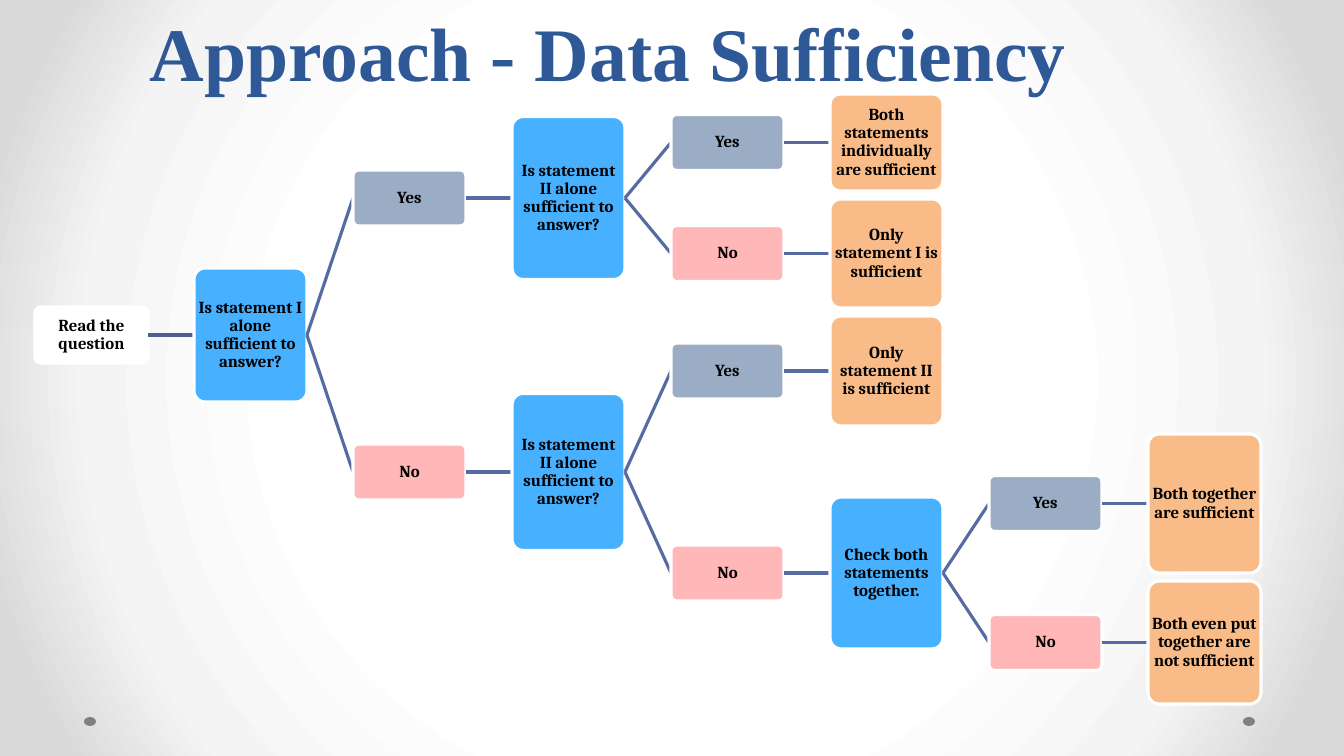
from dataclasses import dataclass, field

from lxml.etree import SubElement
from pptx import Presentation
from pptx.dml.color import RGBColor
from pptx.enum.shapes import MSO_CONNECTOR, MSO_SHAPE
from pptx.enum.text import MSO_ANCHOR, PP_ALIGN
from pptx.oxml import parse_xml
from pptx.oxml.ns import nsdecls, qn
from pptx.util import Pt

SLIDE_W, SLIDE_H = 1344, 756
SCALE = 12192000 / SLIDE_W  # EMU in one px

COLORS = {
    "title": "2F5897", "text": "000000", "outline": "FFFFFF", "dot": "808080",
    "first_link": "4D5E90", "link": "576BA3",
    "start": "FFFFFF", "question": "47B0FF", "yes": "9BADC4",
    "no": "FFB7B7", "result": "F9BB87",
}
BACKGROUND = [(50, "FFFFFF"), (76, "F4F4F4"), (92, "DADADA")]

# Flow chart measures
BOX_W, COLUMN_PITCH, RESULT_GAP = 113, 159, 8


@dataclass
class Node:
    kind: str
    text: str
    height: int
    children: list = field(default_factory=list)
    middle: float = 0


def yes(child):
    return Node("yes", "Yes", 56, [child])


def no(child):
    return Node("no", "No", 56, [child])


def result(text, height):
    return Node("result", text, height)


def question(text, height, if_yes, if_no):
    return Node("question", text, height, [yes(if_yes), no(if_no)])


SECOND = "Is statement II alone sufficient to answer?"
TREE = Node("start", "Read the question", 56, [
    question(
        "Is statement I alone sufficient to answer?", 134,
        question(SECOND, 163,
                 result("Both statements individually are sufficient", 97),
                 result("Only statement I is sufficient", 109)),
        question(SECOND, 157,
                 result("Only statement II is sufficient", 110),
                 question("Check both statements together.", 152,
                          result("Both together are sufficient", 139),
                          result("Both even put together are not sufficient", 123)))),
])


def px(n):
    return round(n * SCALE)


def rgb(name):
    return RGBColor.from_string(COLORS[name])


def add_filled(slide, preset, box, color):
    sp = slide.shapes.add_shape(preset, *map(px, box))
    sp.shadow.inherit = False
    sp.fill.solid()
    sp.fill.fore_color.rgb = rgb(color)
    sp.line.fill.background()
    return sp


def set_font(p, name, size, color):
    p.alignment = PP_ALIGN.CENTER
    p.font.name, p.font.size, p.font.bold = name, Pt(size), True
    p.font.color.rgb = rgb(color)


def add_background(slide):
    stops = "".join(f'<a:gs pos="{pos * 1000}"><a:srgbClr val="{color}"/></a:gs>'
                    for pos, color in BACKGROUND)
    bg = parse_xml(
        f'<p:bg {nsdecls("p", "a")}><p:bgPr><a:gradFill><a:gsLst>{stops}</a:gsLst>'
        '<a:path path="circle"><a:fillToRect l="50000" t="50000" r="50000" b="50000"/>'
        '</a:path></a:gradFill><a:effectLst/></p:bgPr></p:bg>')
    slide.element.find(qn("p:cSld")).insert(0, bg)


def add_footer_dots(slide, box):
    left, top, width, height = box
    for x in (left + width - 12, left):
        add_filled(slide, MSO_SHAPE.OVAL, (x, top, 12, height), "dot")


def add_title(slide, box):
    sp = slide.shapes.title
    sp.left, sp.top, sp.width, sp.height = map(px, box)
    tf = sp.text_frame
    tf.text = "Approach - Data Sufficiency"
    tf.word_wrap = True
    tf.vertical_anchor = MSO_ANCHOR.BOTTOM
    p = tf.paragraphs[0]
    p.line_spacing = Pt(58)
    set_font(p, "Times New Roman", 54, "title")


def add_node(slide, node, left):
    box = (left, node.middle - node.height / 2, BOX_W, node.height)
    sp = add_filled(slide, MSO_SHAPE.ROUNDED_RECTANGLE, box, node.kind)
    sp.adjustments[0] = 0.1
    sp.line.color.rgb = rgb("outline")
    sp.line.width = Pt(2.25)
    tf = sp.text_frame
    tf.text = node.text
    tf.word_wrap = True
    tf.vertical_anchor = MSO_ANCHOR.MIDDLE
    tf.margin_left = tf.margin_right = tf.margin_top = tf.margin_bottom = 0
    p = tf.paragraphs[0]
    p.line_spacing = 0.9
    set_font(p, "Cambria", 12, "text")


def add_link(slide, start, end, color):
    line = slide.shapes.add_connector(MSO_CONNECTOR.STRAIGHT, *map(px, start + end))
    line.line.color.rgb = rgb(color)
    line.line.width = Pt(2.25)
    SubElement(line.element.spPr, qn("a:effectLst"))


def arrange(node, top):
    """Stack the results downwards and centre each parent on its children."""
    if not node.children:
        node.middle = top + node.height / 2
        return top + node.height + RESULT_GAP
    for child in node.children:
        top = arrange(child, top)
    node.middle = sum(c.middle for c in node.children) / len(node.children)
    return top


def add_branch(slide, node, left):
    add_node(slide, node, left)
    next_left = left + COLUMN_PITCH
    for child in node.children:
        color = "first_link" if node.kind == "start" else "link"
        add_link(slide, (left + BOX_W, node.middle), (next_left, child.middle), color)
        add_branch(slide, child, next_left)


def add_flow_chart(slide, left, top):
    arrange(TREE, top)
    add_branch(slide, TREE, left)


def main():
    prs = Presentation()
    prs.slide_width, prs.slide_height = px(SLIDE_W), px(SLIDE_H)
    slide = prs.slides.add_slide(prs.slide_layouts[5])
    add_background(slide)
    add_footer_dots(slide, (84, 717, 1171, 9))
    add_title(slide, (28, 35, 1160, 67))
    add_flow_chart(slide, 35, 94)
    prs.save("out.pptx")


if __name__ == "__main__":
    main()
